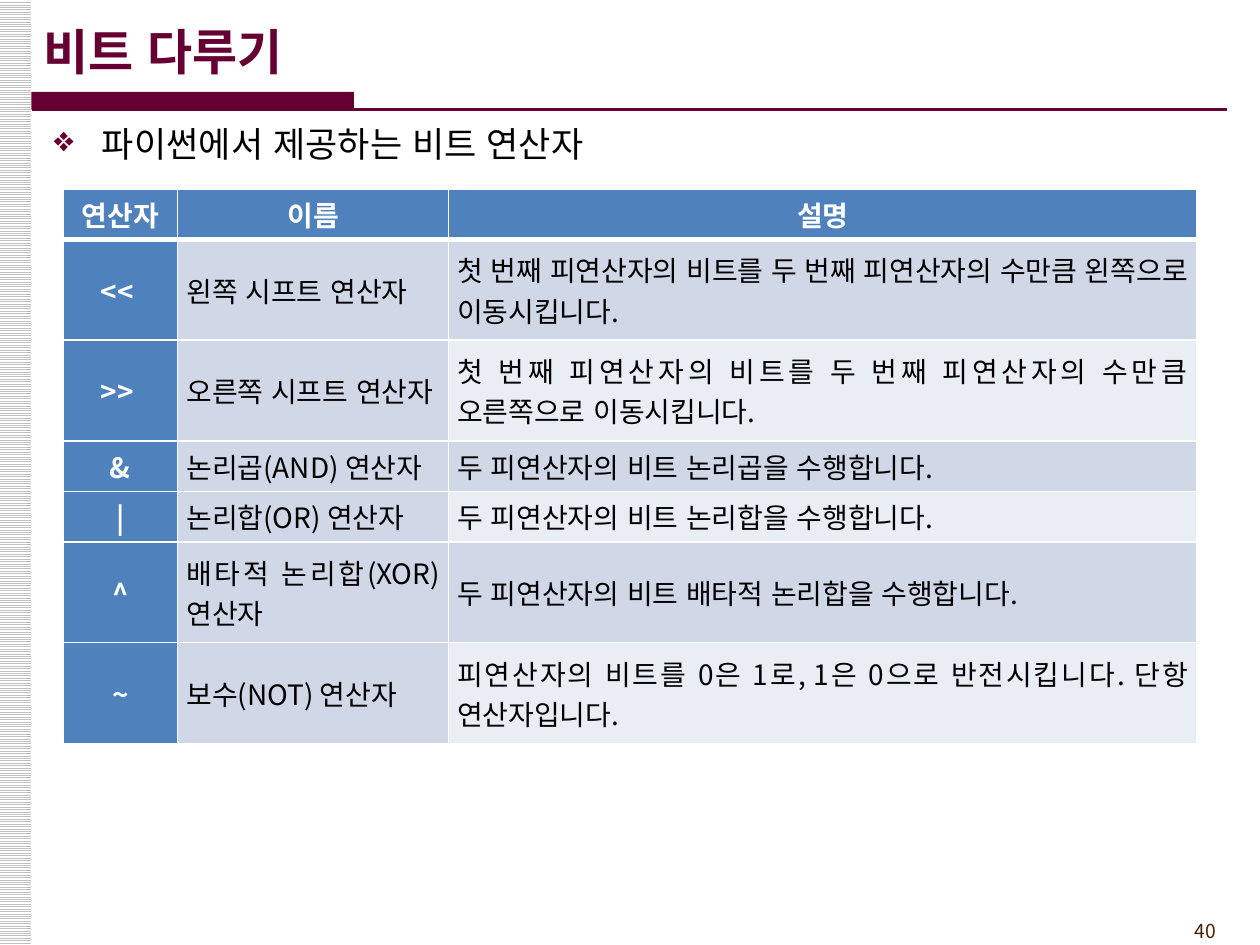
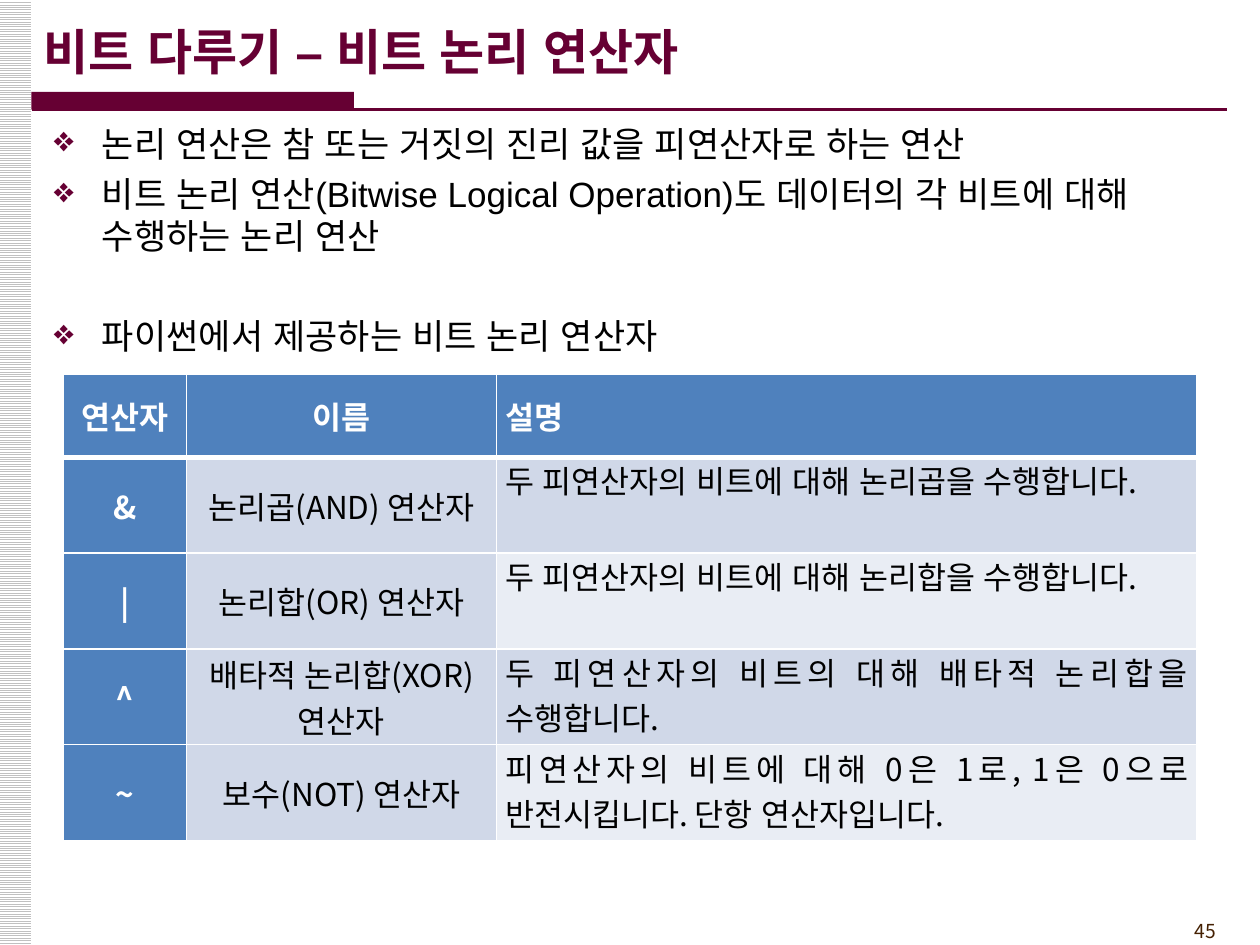
from dataclasses import dataclass

from lxml import etree
from pptx import Presentation, util as u
from pptx.dml import color
from pptx.enum import dml, lang, shapes, text
from pptx.oxml import ns

LEFT, CENTER, RIGHT, JUSTIFY = (
    text.PP_ALIGN.LEFT, text.PP_ALIGN.CENTER, text.PP_ALIGN.RIGHT, text.PP_ALIGN.JUSTIFY)
TOP, MIDDLE = text.MSO_ANCHOR.TOP, text.MSO_ANCHOR.MIDDLE


@dataclass(frozen=True)
class Theme:
    """Colours, fonts and type sizes shared by the slides."""
    accent: str = "660033"
    stripe: str = "C0C0C0"
    page: str = "452103"
    white: str = "FFFFFF"
    black: str = "000000"
    head: str = "4F81BD"
    dark_row: str = "D0D8E8"
    light_row: str = "E9EDF4"
    body_font: str = "Arial"
    table_font: str = "Noto Sans CJK KR"
    title_size: int = 28
    body_size: int = 20
    page_size: int = 11


def rgb(value):
    return color.RGBColor.from_string(value)


def child(parent, tag, **attributes):
    return etree.SubElement(parent, ns.qn(tag), attributes)


class Deck:
    """Holds the theme and the current slide, and draws each kind of element."""

    def __init__(self, theme):
        self.theme = theme
        self.show = Presentation()
        self.show.slide_width, self.show.slide_height = u.Inches(10), u.Inches(7.5)

    def new_slide(self, title, number):
        theme = self.theme
        self.slide = self.show.slides.add_slide(self.show.slide_layouts[6])
        stripes = self.rectangle(-0.01, 0, 0.26, 7.5).fill
        stripes.patterned()
        stripes.pattern = dml.MSO_PATTERN.LIGHT_HORIZONTAL
        stripes.fore_color.rgb, stripes.back_color.rgb = rgb(theme.stripe), rgb(theme.white)
        page = self.text_box(8.92, 7.25, 0.83, 0.29).paragraphs[0]
        page.alignment = RIGHT
        self.run(page, str(number), theme.page_size, theme.page, theme.table_font)
        band = self.rectangle(0.25, 0.73, 2.56, 0.14).fill
        band.solid()
        band.fore_color.rgb = rgb(theme.accent)
        self.line(0.25, 0.87, 9.74, 0.87)
        heading = self.text_box(0.25, 0.09, 8.27, 0.63, MIDDLE).paragraphs[0]
        self.run(heading, title, theme.title_size, theme.accent, theme.body_font, True)

    def rectangle(self, left, top, width, height):
        shape = self.slide.shapes.add_shape(
            shapes.MSO_SHAPE.RECTANGLE, *map(u.Inches, (left, top, width, height)))
        shape.shadow.inherit = False
        shape.line.fill.background()
        return shape

    def line(self, *ends):
        rule = self.slide.shapes.add_connector(
            shapes.MSO_CONNECTOR.STRAIGHT, *map(u.Inches, ends))
        rule.line.color.rgb, rule.line.width = rgb(self.theme.accent), u.Pt(1.5)
        child(rule.element.spPr, "a:effectLst")

    def text_box(self, left, top, width, height, anchor=TOP):
        frame = self.slide.shapes.add_textbox(
            *map(u.Inches, (left, top, width, height))).text_frame
        frame.word_wrap, frame.vertical_anchor = True, anchor
        return frame

    def run(self, paragraph, words, size, ink, face, bold=False):
        run = paragraph.add_run()
        run.text = words
        font = run.font
        font.size, font.bold, font.name = u.Pt(size), bold, face
        font.color.rgb = rgb(ink)
        font.language_id = lang.MSO_LANGUAGE_ID.KOREAN
        child(run._r.get_or_add_rPr(), "a:ea", typeface=face)

    def bullets(self, *points):
        theme = self.theme
        frame = self.text_box(0.33, 0.92, 9.5, 6.25)
        for index, (words, gap) in enumerate(points):
            point = frame.add_paragraph() if index else frame.paragraphs[0]
            point.space_before = u.Pt(gap)
            layout = point._p.get_or_add_pPr()
            layout.set("marL", str(u.Inches(0.38)))
            layout.set("indent", str(-u.Inches(0.38)))
            child(child(layout, "a:buClr"), "a:srgbClr", val=theme.accent)
            child(layout, "a:buChar", char="❖")
            self.run(point, words, theme.body_size, theme.black, theme.body_font)

    def borders(self, cell, bottom):
        properties = cell._tc.get_or_add_tcPr()
        for side, width in (("L", 1), ("R", 1), ("T", 1), ("B", bottom)):
            edge = child(properties, f"a:ln{side}", w=str(u.Pt(width)))
            child(child(edge, "a:solidFill"), "a:srgbClr", val=self.theme.white)

    def table(self, top, widths, heights, size, records, head_aligns, body_aligns, note_anchor):
        theme = self.theme
        rows = [("연산자", "이름", "설명"), *records]
        grid = self.slide.shapes.add_table(
            len(rows), len(widths), u.Inches(0.5), u.Inches(top),
            u.Inches(sum(widths)), u.Inches(sum(heights))).table
        grid.horz_banding = False
        for column, width in zip(grid.columns, widths):
            column.width = u.Inches(width)
        for r, (record, height) in enumerate(zip(rows, heights)):
            grid.rows[r].height = u.Inches(height)
            for c, words in enumerate(record):
                cell = grid.cell(r, c)
                header = r == 0 or c == 0
                self.borders(cell, 1 if r else 3)
                cell.fill.solid()
                row_fill = theme.light_row if c == 2 and r % 2 == 0 else theme.dark_row
                cell.fill.fore_color.rgb = rgb(theme.head if header else row_fill)
                cell.margin_left = cell.margin_right = u.Inches(0.07)
                cell.margin_top = cell.margin_bottom = 0
                cell.vertical_anchor = note_anchor if r and c == 2 else MIDDLE
                paragraph = cell.text_frame.paragraphs[0]
                paragraph.alignment = (body_aligns if r else head_aligns)[c]
                self.run(paragraph, words, size, theme.white if header else theme.black,
                         theme.table_font, header)


AND, OR, XOR, NOT = (
    ("&", "논리곱(AND) 연산자"), ("|", "논리합(OR) 연산자"),
    ("^", "배타적 논리합(XOR) 연산자"), ("~", "보수(NOT) 연산자"))


def main():
    deck = Deck(Theme())

    deck.new_slide("비트 다루기", 40)
    deck.bullets(("파이썬에서 제공하는 비트 연산자", 5))
    shift = "첫 번째 피연산자의 비트를 두 번째 피연산자의 수만큼 {}으로 이동시킵니다."
    deck.table(
        1.5, (0.91, 2.15, 5.94), (0.4, 0.8, 0.8, 0.4, 0.4, 0.8, 0.8), 16,
        [("<< ", "왼쪽 시프트 연산자", shift.format("왼쪽")),
         (">> ", "오른쪽 시프트 연산자", shift.format("오른쪽")),
         (*AND, "두 피연산자의 비트 논리곱을 수행합니다."),
         (*OR, "두 피연산자의 비트 논리합을 수행합니다."),
         (*XOR, "두 피연산자의 비트 배타적 논리합을 수행합니다."),
         (*NOT, "피연산자의 비트를 0은 1로, 1은 0으로 반전시킵니다. 단항 연산자입니다.")],
        (CENTER, CENTER, CENTER), (CENTER, JUSTIFY, JUSTIFY), MIDDLE)

    deck.new_slide("비트 다루기 – 비트 논리 연산자", 45)
    deck.bullets(
        ("논리 연산은 참 또는 거짓의 진리 값을 피연산자로 하는 연산", 5),
        ("비트 논리 연산(Bitwise Logical Operation)도 데이터의 각 비트에 대해 수행하는 논리 연산", 5),
        ("파이썬에서 제공하는 비트 논리 연산자", 33))
    deck.table(
        2.97, (0.98, 2.46, 5.56), (0.66, *[0.76] * 4), 18,
        [(*AND, "두 피연산자의 비트에 대해 논리곱을 수행합니다."),
         (*OR, "두 피연산자의 비트에 대해 논리합을 수행합니다."),
         (*XOR, "두 피연산자의 비트의 대해 배타적 논리합을 수행합니다."),
         (*NOT, "피연산자의 비트에 대해 0은 1로, 1은 0으로 반전시킵니다. 단항 연산자입니다.")],
        (CENTER, CENTER, JUSTIFY), (CENTER, CENTER, JUSTIFY), TOP)

    deck.show.save("out.pptx")


if __name__ == "__main__":
    main()
